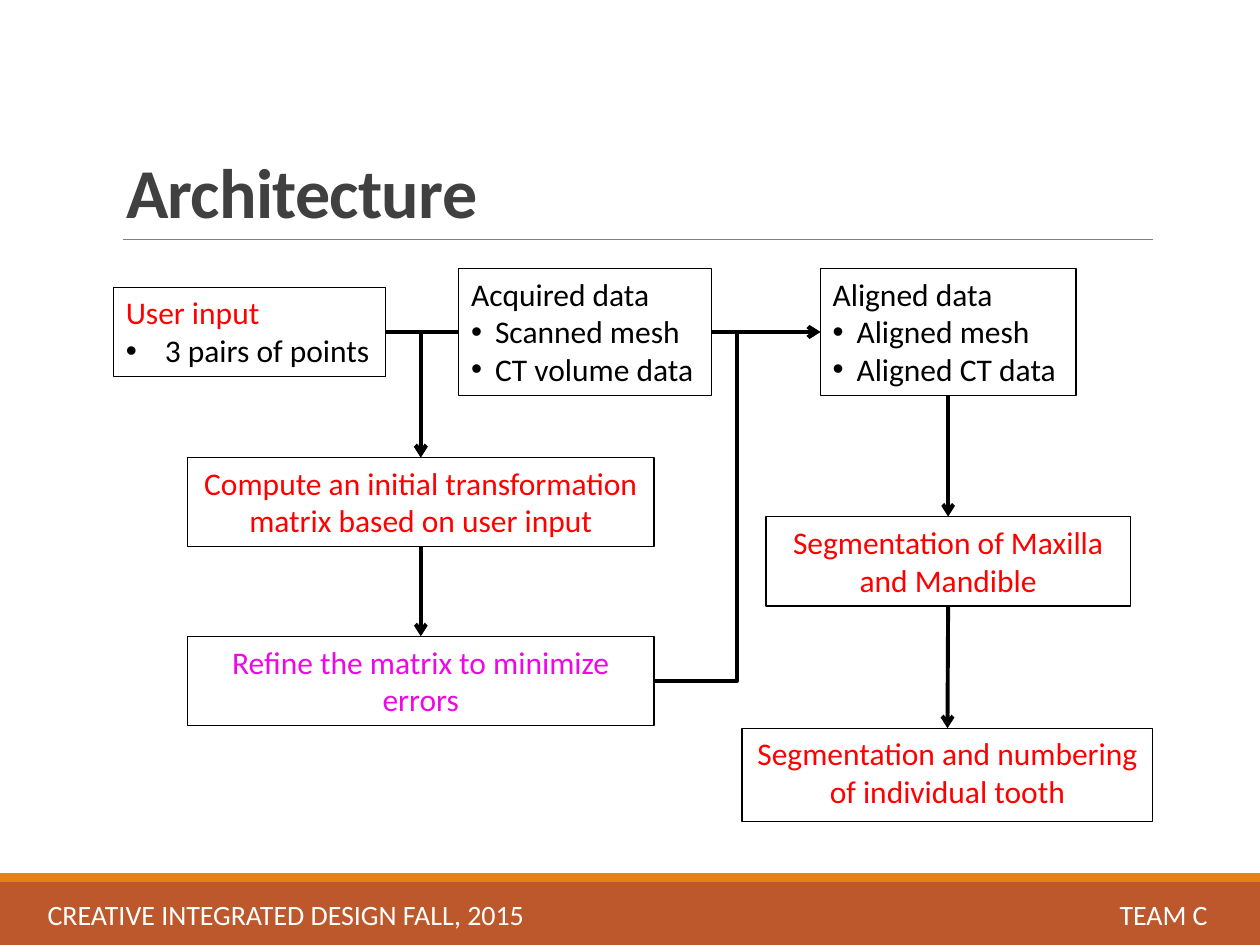
from lxml import etree
from pptx import Presentation
from pptx.dml.color import RGBColor
from pptx.enum import shapes, text
from pptx.oxml import ns
from pptx.util import Inches, Pt

COLORS = {"band": "BD582C", "stripe": "E48312", "rule": "808080", "title": "404040",
          "white": "FFFFFF", "black": "000000", "red": "FF0000", "magenta": "EF07E4"}
RGB = {name: RGBColor.from_string(value) for name, value in COLORS.items()}
TOP, LEFT, BOTTOM, RIGHT = range(4)  # connection sites of a rectangle


def write(frame, lines, frame_format, font_format, align, indent=0):
    """Fill a frame with (wording, colour) lines; indent turns all but the first into bullets."""
    for name, value in frame_format.items():
        setattr(frame, name, value)
    for number, (wording, color) in enumerate(lines):
        paragraph = frame.paragraphs[0] if number == 0 else frame.add_paragraph()
        paragraph.alignment = align
        if number and indent:
            props = paragraph._p.get_or_add_pPr()
            props.set("marL", str(Inches(indent)))
            props.set("indent", str(-Inches(indent)))
            etree.SubElement(props, ns.qn("a:buFont"), typeface="Arial")
            etree.SubElement(props, ns.qn("a:buChar"), char="•")
        run = paragraph.add_run()
        run.text = wording
        for name, value in font_format.items():
            setattr(run.font, name, value)
        run.font.color.rgb = RGB[color]


def draw_line(kind, ends, color, width):
    line = slide.shapes.add_connector(kind, *map(Inches, ends))
    line.line.color.rgb = RGB[color]
    line.line.width = Pt(width)
    etree.SubElement(line._element.spPr, ns.qn("a:effectLst"))
    return line


prs = Presentation()
prs.slide_width, prs.slide_height = Inches(10), Inches(7.5)
slide = prs.slides.add_slide(prs.slide_layouts[5])
straight, elbow = shapes.MSO_CONNECTOR.STRAIGHT, shapes.MSO_CONNECTOR.ELBOW
left, center = text.PP_ALIGN.LEFT, text.PP_ALIGN.CENTER

# Footer bands and title rule
for color, top, height in [("band", 7, 0.5), ("stripe", 6.93, 0.07)]:
    band = slide.shapes.add_shape(shapes.MSO_SHAPE.RECTANGLE, 0, Inches(top),
                                  prs.slide_width, Inches(height))
    band.shadow.inherit = False
    band.fill.solid()
    band.fill.fore_color.rgb = RGB[color]
    band.line.fill.background()
draw_line(straight, (0.98, 1.9, 9.15, 1.9), "rule", 0.5)

# Title
title = slide.shapes.title
title.left, title.top, title.width, title.height = map(Inches, (0.9, 0.31, 8.25, 1.59))
write(title.text_frame, [("Architecture", "title")],
      {"vertical_anchor": text.MSO_ANCHOR.BOTTOM, "word_wrap": True,
       "auto_size": text.MSO_AUTO_SIZE.NONE},
      {"name": "Calibri", "size": Pt(40), "bold": True}, left)
heading = title.text_frame.paragraphs[0]
heading.line_spacing = 0.85
heading.runs[0].font._element.set("spc", "-40")

# Footer wording
for wording, x, width in [("CREATIVE INTEGRATED DESIGN FALL, 2015", 0, 4.54),
                          ("TEAM C", 8.48, 1.51)]:
    footer = slide.shapes.add_textbox(*map(Inches, (x, 7.01, width, 0.49)))
    write(footer.text_frame, [(wording, "white")],
          {"vertical_anchor": text.MSO_ANCHOR.MIDDLE, "word_wrap": True},
          {"name": "Calibri", "size": Pt(16)}, center)

# Steps: key, place, lines, alignment, bullet indent
steps = [
    ("user", (0.9, 2.28, 2.16, 0.71),
     [("User input", "red"), ("3 pairs of points", "black")], left, 0.31),
    ("acquired", (3.64, 2.13, 2.01, 1.01),
     [("Acquired data", "black"), ("Scanned mesh", "black"), ("CT volume data", "black")],
     left, 0.19),
    ("aligned", (6.51, 2.13, 2.03, 1.01),
     [("Aligned data", "black"), ("Aligned mesh", "black"), ("Aligned CT data", "black")],
     left, 0.19),
    ("compute", (1.49, 3.63, 3.7, 0.71),
     [("Compute an initial transformation matrix based on user input", "red")], center, 0),
    ("refine", (1.49, 5.05, 3.7, 0.71),
     [("Refine the matrix to minimize errors", "magenta")], center, 0),
    ("jaws", (6.08, 4.1, 2.89, 0.71),
     [("Segmentation of Maxilla and Mandible", "red")], center, 0),
    ("teeth", (5.89, 5.78, 3.26, 0.74),
     [("Segmentation and numbering of individual tooth", "red")], center, 0),
]
boxes = {}
for key, place, lines, align, indent in steps:
    box = slide.shapes.add_shape(shapes.MSO_SHAPE.RECTANGLE, *map(Inches, place))
    box.shadow.inherit = False
    box.fill.background()
    box.line.color.rgb = RGB["black"]
    box.line.width = Pt(0.75)
    write(box.text_frame, lines,
          {"vertical_anchor": text.MSO_ANCHOR.TOP, "word_wrap": True,
           "auto_size": text.MSO_AUTO_SIZE.SHAPE_TO_FIT_TEXT},
          {"name": "Calibri", "size": Pt(18)}, align, indent)
    boxes[key] = box

# Arrows between steps
flows = [
    ("acquired", LEFT, "compute", TOP, elbow),
    ("user", RIGHT, "compute", TOP, elbow),
    ("acquired", RIGHT, "aligned", LEFT, elbow),
    ("refine", RIGHT, "aligned", LEFT, elbow),
    ("compute", BOTTOM, "refine", TOP, straight),
    ("aligned", BOTTOM, "jaws", TOP, straight),
    ("jaws", BOTTOM, "teeth", TOP, straight),
]
for source, source_site, target, target_site, kind in flows:
    arrow = draw_line(kind, (0, 0, 0, 0), "black", 2.25)
    arrow.begin_connect(boxes[source], source_site)
    arrow.end_connect(boxes[target], target_site)
    etree.SubElement(arrow.line._get_or_add_ln(), ns.qn("a:tailEnd"), type="arrow")
    if kind == elbow and target_site == TOP:  # a single bend
        arrow._element.spPr.find(ns.qn("a:prstGeom")).set("prst", "bentConnector2")

prs.save("out.pptx")
